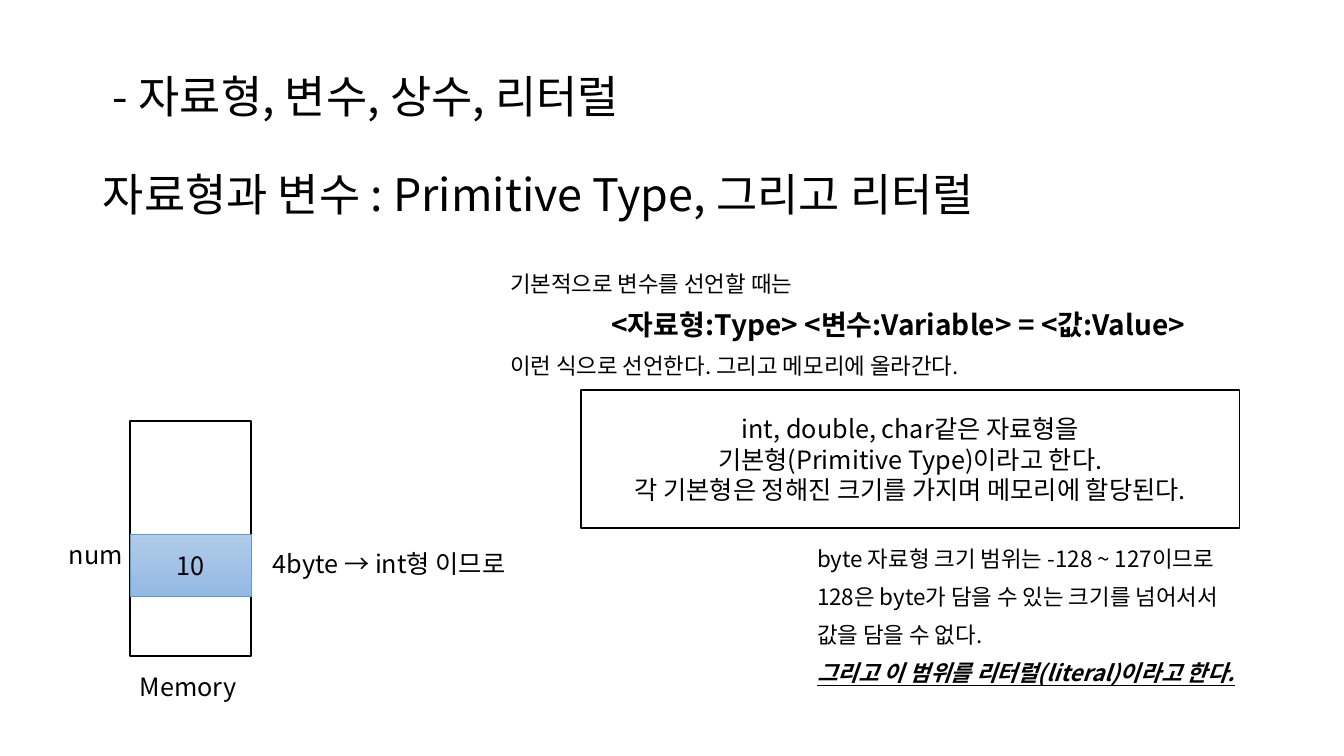
import pptx
import pptx.util
import pptx.dml.color
import pptx.enum.shapes
import pptx.enum.text
import pptx.oxml.ns
import lxml.etree

FONT = "Noto Sans CJK KR"
BLACK, WHITE, BLUE = "000000", "FFFFFF", "5B9BD5"
SLOT_GRADIENT = ["B1CBE9", "93B9E4"]

# Content: each paragraph is (text, format that differs from its box)
TITLE = [
    (" - 자료형, 변수, 상수, 리터럴", {}),
    ("자료형과 변수 : Primitive Type, 그리고 리터럴", {}),
]
DECLARATION = [
    ("기본적으로 변수를 선언할 때는", {}),
    ("<자료형:Type> <변수:Variable> = <값:Value>",
     {"size": 20, "bold": True, "align": "CENTER"}),
    ("이런 식으로 선언한다. 그리고 메모리에 올라간다.", {}),
]
PRIMITIVE = [
    ("int, double, char같은 자료형을", {}),
    ("기본형(Primitive Type)이라고 한다.", {}),
    ("각 기본형은 정해진 크기를 가지며 메모리에 할당된다.", {}),
]
LITERAL = [
    ("byte 자료형 크기 범위는 -128 ~ 127이므로", {}),
    ("128은 byte가 담을 수 있는 크기를 넘어서서", {}),
    ("값을 담을 수 없다.", {}),
    ("그리고 이 범위를 리터럴(literal)이라고 한다.",
     {"bold": True, "italic": True, "underline": True}),
]

# Memory column, in px
MEM_X, MEM_W = 130, 121
MEM_Y, MEM_H = 421, 235
SLOT_Y, SLOT_H = 534, 62
LABEL_H = 40
LABELS = [
    ("num", 59, SLOT_Y, 93),
    ("Memory", MEM_X, MEM_Y + MEM_H + 10, MEM_W),
    ("4byte → int형 이므로", 263, 543, 284),
]


def px(n):
    return pptx.util.Emu(round(n * 914400 / 100.8))


def rgb(color):
    return pptx.dml.color.RGBColor.from_string(color)


def add_paragraph(p, text, size=18, bold=False, italic=False, underline=False,
                  align="LEFT", line=1.0, before=0):
    p.alignment = getattr(pptx.enum.text.PP_ALIGN, align)
    p.line_spacing = line
    p.space_before = pptx.util.Pt(before)
    r = p.add_run()
    r.text = text
    f = r.font
    f.name, f.size, f.color.rgb = FONT, pptx.util.Pt(size), rgb(BLACK)
    f.bold, f.italic, f.underline = bold, italic, underline
    ea = lxml.etree.SubElement(f._element, pptx.oxml.ns.qn("a:ea"))
    ea.set("typeface", FONT)


def write(s, paragraphs, anchor="TOP", before=0, **style):
    tf = s.text_frame
    tf.word_wrap = True
    tf.vertical_anchor = getattr(pptx.enum.text.MSO_ANCHOR, anchor)
    for i, (text, own) in enumerate(paragraphs):
        p = tf.add_paragraph() if i else tf.paragraphs[0]
        add_paragraph(p, text, before=before if i else 0, **{**style, **own})


def add_text(x, y, w, h, paragraphs, **style):
    write(slide.shapes.add_textbox(px(x), px(y), px(w), px(h)), paragraphs, **style)


def add_box(x, y, w, h, line=BLACK, width=1):
    s = slide.shapes.add_shape(pptx.enum.shapes.MSO_SHAPE.RECTANGLE,
                               px(x), px(y), px(w), px(h))
    s.shadow.inherit = False
    s.fill.solid()
    s.fill.fore_color.rgb = rgb(WHITE)
    s.line.color.rgb = rgb(line)
    s.line.width = pptx.util.Pt(width)
    return s


prs = pptx.Presentation()
prs.slide_width, prs.slide_height = pptx.util.Inches(13.33), pptx.util.Inches(7.5)
slide = prs.slides.add_slide(prs.slide_layouts[6])

# Title and declaration syntax
add_text(93, 50, 1087, 176, TITLE, size=32, line=0.9, before=35, anchor="BOTTOM")
add_text(500, 268, 796, 138, DECLARATION, size=16, line=0.9, before=10)

# Memory diagram with its labels
add_box(MEM_X, MEM_Y, MEM_W, MEM_H)
slot = add_box(MEM_X, SLOT_Y, MEM_W, SLOT_H, line=BLUE, width=0.5)
slot.fill.gradient()
slot.fill.gradient_angle = 270
for stop, color in zip(slot.fill.gradient_stops, SLOT_GRADIENT):
    stop.color.rgb = rgb(color)
write(slot, [("10", {})], anchor="MIDDLE", align="CENTER")
for text, x, y, w in LABELS:
    add_text(x, y, w, LABEL_H, [(text, {})])

# Primitive types and literal range
write(add_box(581, 390, 658, 138), PRIMITIVE, anchor="MIDDLE", align="CENTER")
add_text(807, 543, 508, 183, LITERAL, size=16, line=0.9, before=10)

prs.save("out.pptx")
